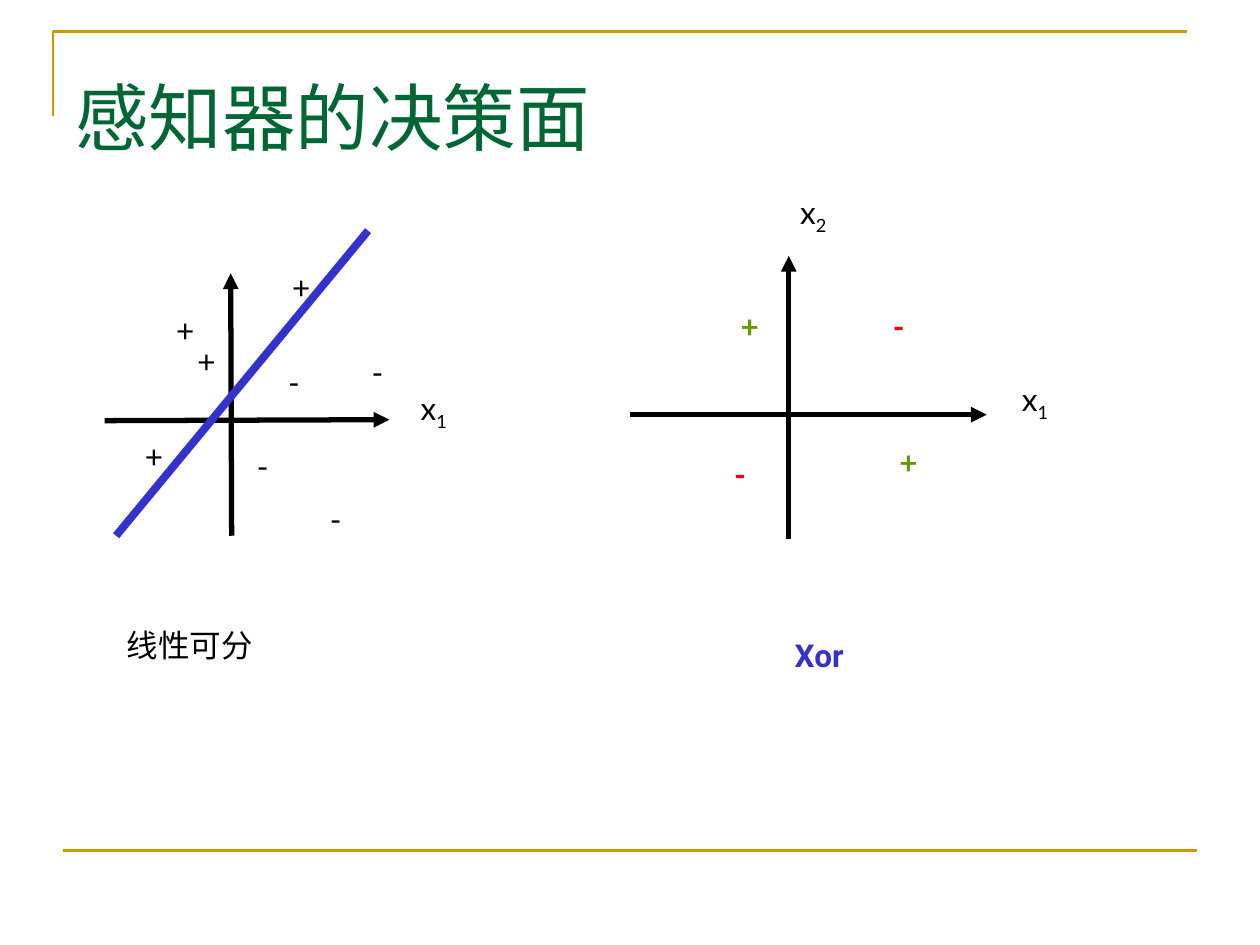
from pptx import Presentation
from pptx.dml.color import RGBColor
from pptx.enum.shapes import MSO_CONNECTOR
from pptx.enum.text import MSO_ANCHOR
from pptx.oxml.ns import qn
from pptx.util import Cm, Pt
from lxml import etree

STRAIGHT = MSO_CONNECTOR.STRAIGHT
TOP, MIDDLE = MSO_ANCHOR.TOP, MSO_ANCHOR.MIDDLE


class Theme:
    gold = RGBColor(0xCC, 0x99, 0x00)
    dark_green = RGBColor(0x00, 0x66, 0x33)
    green = RGBColor(0x66, 0x99, 0x00)
    red = RGBColor(0xFF, 0x00, 0x00)
    blue = RGBColor(0x33, 0x33, 0xCC)
    black = RGBColor(0x00, 0x00, 0x00)
    title_size, body_size = Pt(42), Pt(18)
    title_font, math_font, label_font = "Times New Roman", "Lato", "Roboto"
    rule_width, axis_width, boundary_width = Pt(1.5), Pt(3), Pt(4.5)


def add_text(shapes, text, left, top, width, height=1.02, *, subscript="",
             font=Theme.math_font, size=Theme.body_size, color=Theme.black,
             bold=False, anchor=TOP, wrap=False):
    """Add a one-line text box; lengths are in centimetres."""
    box = shapes.add_textbox(Cm(left), Cm(top), Cm(width), Cm(height))
    frame = box.text_frame
    frame.word_wrap = wrap
    frame.vertical_anchor = anchor
    paragraph = frame.paragraphs[0]
    for content, baseline in ((text, None), (subscript, "-25000")):
        if not content:
            continue
        run = paragraph.add_run()
        run.text = content
        run.font.name = font
        run.font.size = size
        run.font.bold = bold
        run.font.color.rgb = color
        if baseline:
            run._r.get_or_add_rPr().set("baseline", baseline)


def add_line(shapes, start, end, color, width, arrow=False):
    """Add a straight line between two points in centimetres."""
    line = shapes.add_connector(STRAIGHT, *map(Cm, start + end))
    line.line.color.rgb = color
    line.line.width = width
    if arrow:
        etree.SubElement(line.line._get_or_add_ln(), qn("a:tailEnd"), type="triangle")
    etree.SubElement(line._element.spPr, qn("a:effectLst"))


presentation = Presentation()
presentation.slide_width, presentation.slide_height = Cm(25.4), Cm(19.05)
slide = presentation.slides.add_slide(presentation.slide_layouts[6])
shapes = slide.shapes

# Slide frame and title
builder = shapes.build_freeform(Cm(1.07), Cm(2.34))
builder.add_line_segments([(Cm(1.07), Cm(0.64)), (Cm(23.93), Cm(0.64))], close=False)
corner = builder.convert_to_shape()
corner.shadow.inherit = False
corner.fill.background()
corner.line.color.rgb = Theme.gold
corner.line.width = Theme.rule_width
add_line(shapes, (1.27, 17.15), (24.13, 17.15), Theme.gold, Theme.rule_width)
add_text(shapes, "感知器的决策面", 1.27, 0.76, 22.86, 3.18, font=Theme.title_font,
         size=Theme.title_size, color=Theme.dark_green, anchor=MIDDLE, wrap=True)

# Both diagrams: axes, marked points and axis names
xor_shapes = shapes.add_group_shape().shapes
mark_widths = {"+": 0.86, "-": 0.71}
diagrams = [
    {
        "shapes": shapes,
        "axes": [((4.67, 10.8), (4.65, 5.51)), ((2.11, 8.48), (7.85, 8.46))],
        "marks": {
            "+": [(5.64, 5.28), (3.73, 6.78), (3.3, 6.15), (2.67, 8.69)],
            "-": [(4.93, 8.89), (5.56, 7.19), (6.4, 9.96), (7.24, 6.99)],
        },
        "mark_colors": {"+": Theme.black, "-": Theme.black},
        "bold": False,
        "axis_names": [("1", 8.23, 7.72)],
    },
    {
        "shapes": xor_shapes,
        "axes": [((15.9, 10.87), (15.9, 5.16)), ((12.7, 8.36), (19.89, 8.36))],
        "marks": {
            "+": [(14.68, 6.07), (17.88, 8.81)],
            "-": [(14.55, 9.04), (17.75, 6.07)],
        },
        "mark_colors": {"+": Theme.green, "-": Theme.red},
        "bold": True,
        "axis_names": [("1", 20.35, 7.54), ("2", 15.88, 3.76)],
    },
]
for diagram in diagrams:
    target = diagram["shapes"]
    for start, tip in diagram["axes"]:
        add_line(target, start, tip, Theme.black, Theme.axis_width, arrow=True)
    for mark, positions in diagram["marks"].items():
        for left, top in positions:
            add_text(target, mark, left, top, mark_widths[mark],
                     color=diagram["mark_colors"][mark], bold=diagram["bold"])
    for index, left, top in diagram["axis_names"]:
        add_text(target, "x", left, top, 1.04, 1.12, subscript=index)

# Decision boundary and captions
add_line(shapes, (2.34, 10.8), (7.42, 4.65), Theme.blue, Theme.boundary_width)
add_text(xor_shapes, "Xor", 15.77, 12.7, 1.6, font=Theme.label_font,
         color=Theme.blue, bold=True)
add_text(shapes, "线性可分", 2.31, 12.5, 3.05, font=Theme.label_font)

presentation.save("out.pptx")
